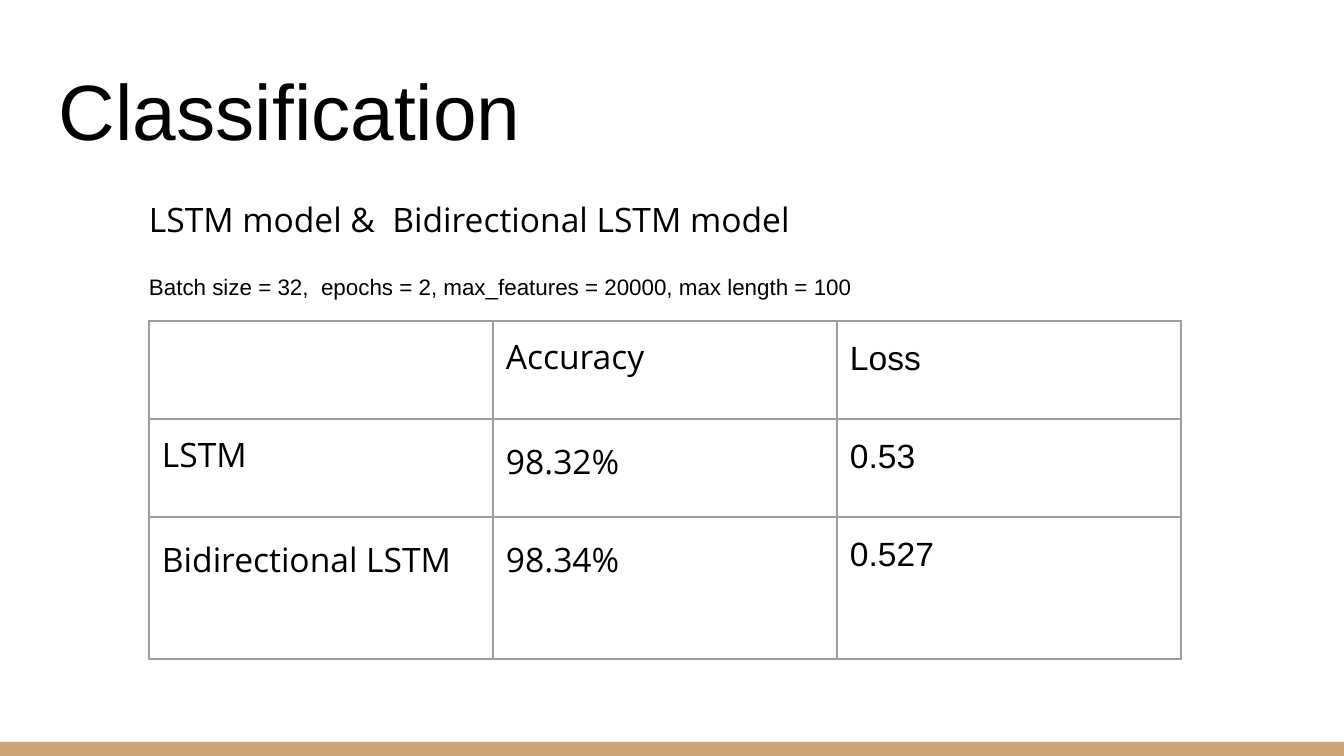
from lxml import etree
from pptx import Presentation
from pptx.dml.color import RGBColor
from pptx.enum.shapes import MSO_SHAPE
from pptx.enum.text import MSO_ANCHOR
from pptx.oxml.ns import qn
from pptx.util import Pt

RECT = MSO_SHAPE.RECTANGLE
TOP, BOTTOM = MSO_ANCHOR.TOP, MSO_ANCHOR.BOTTOM
SCALE = 914400 / 134.4
INSET = 13
SANS, OPEN = "Arial", "Open Sans"
COLORS = {"page": "FFFFFF", "text": "000000", "bar": "CCA677", "grid": "9E9E9E"}


def px(n):
    return round(n * SCALE)


def color(name):
    return RGBColor.from_string(COLORS[name])


def write(para, text, size=18, font=SANS, lead=None, before=0, after=0):
    para.space_before, para.space_after = Pt(before), Pt(after)
    if lead:
        para.line_spacing = lead
    run = para.add_run()
    run.text = text
    run.font.size, run.font.name = Pt(size), font
    run.font.color.rgb = color("text")


def border(cell, width=0.75):
    """Draw all four sides of a cell."""
    props = cell._tc.get_or_add_tcPr()
    for i, side in enumerate("LRTB"):
        line = etree.Element(qn(f"a:ln{side}"), w=str(Pt(width)))
        fill = etree.SubElement(line, qn("a:solidFill"))
        etree.SubElement(fill, qn("a:srgbClr"), val=COLORS["grid"])
        props.insert(i, line)


class Deck:
    def __init__(self, wide, high):
        self.prs = Presentation()
        self.prs.slide_width, self.prs.slide_height = px(wide), px(high)
        self.slide = self.prs.slides.add_slide(self.prs.slide_layouts[6])
        back = self.slide.background.fill
        back.solid()
        back.fore_color.rgb = color("page")

    def bar(self, *box):
        shape = self.slide.shapes.add_shape(RECT, *map(px, box))
        shape.shadow.inherit = False
        shape.fill.solid()
        shape.fill.fore_color.rgb = color("bar")
        shape.line.fill.background()

    def text(self, box, lines, anchor=TOP):
        frame = self.slide.shapes.add_textbox(*map(px, box)).text_frame
        frame.word_wrap = True
        frame.vertical_anchor = anchor
        frame.margin_left = frame.margin_right = px(INSET)
        frame.margin_top = frame.margin_bottom = px(INSET)
        for i, (text, style) in enumerate(lines):
            para = frame.add_paragraph() if i else frame.paragraphs[0]
            write(para, text, **style)

    def table(self, left, top, cols, rows, cells):
        table = self.slide.shapes.add_table(
            len(rows), len(cols), px(left), px(top), px(sum(cols)), px(sum(rows))).table
        table.first_row = table.horz_banding = False
        for col, wide in zip(table.columns, cols):
            col.width = px(wide)
        for row, high, items in zip(table.rows, rows, cells):
            row.height = px(high)
            for cell, (text, style) in zip(row.cells, items):
                cell.fill.background()
                cell.margin_left = cell.margin_right = px(INSET)
                cell.margin_top = cell.margin_bottom = px(INSET)
                border(cell)
                if text:
                    write(cell.text_frame.paragraphs[0], text, **style)


def main():
    deck = Deck(1344, 756)
    deck.bar(0, 742, 1344, 14)
    deck.text((46, 47, 1253, 122), [("Classification", {"size": 42})], BOTTOM)
    deck.text((136, 180, 1253, 493), [
        ("LSTM model &  Bidirectional LSTM model", {"font": OPEN, "lead": 1.15}),
        ("Batch size = 32,  epochs = 2, max_features = 20000, max length = 100",
         {"size": 12, "lead": 1.15, "before": 16}),
    ])
    head = {"font": OPEN}
    name = {"font": OPEN, "lead": 1.15, "after": 16}
    loss = {"lead": 1.15, "after": 16}
    deck.table(149, 321, [344] * 3, [98, 98, 142], [
        [("", {}), ("Accuracy", head), ("Loss", loss)],
        [("LSTM", head), ("98.32%", name), ("0.53", loss)],
        [("Bidirectional LSTM", name), ("98.34%", name), ("0.527", {"lead": 1.15})],
    ])
    deck.prs.save("out.pptx")


if __name__ == "__main__":
    main()
